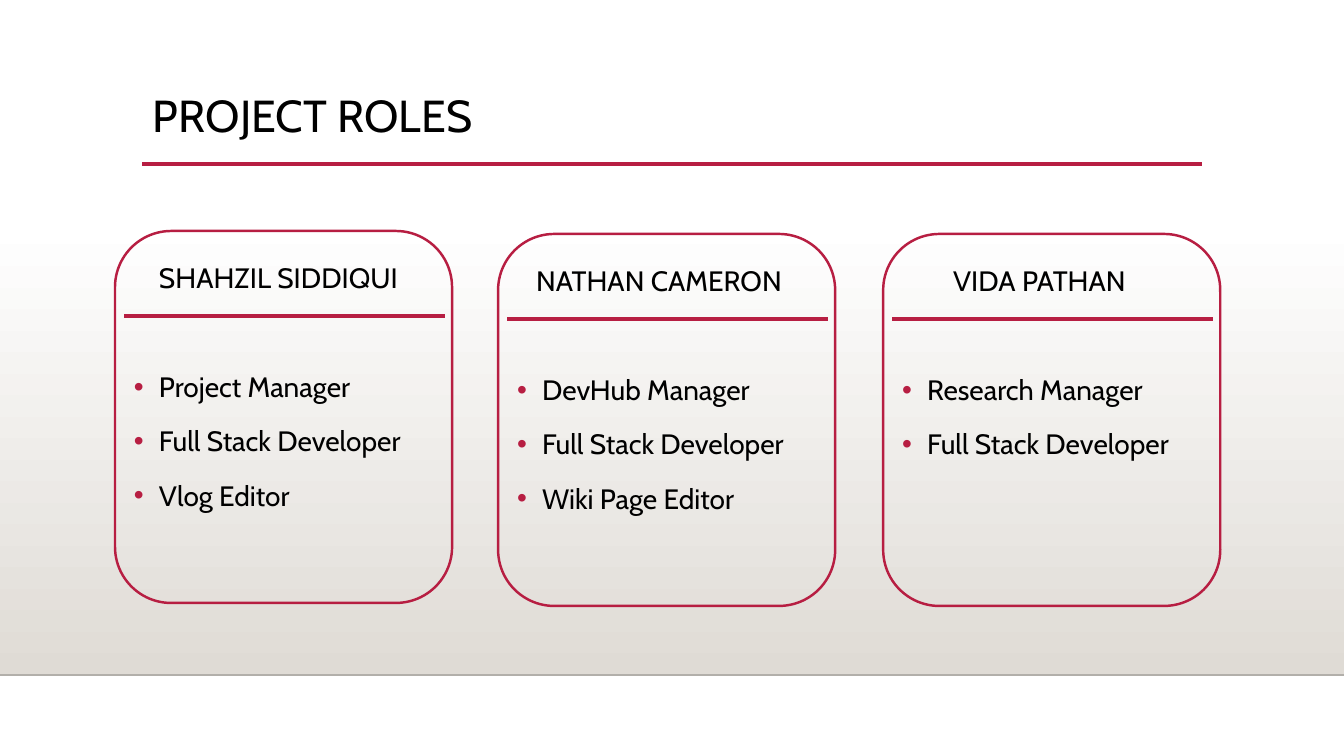
import pptx
import pptx.dml.color
import pptx.enum.shapes
import pptx.enum.text
import pptx.oxml
import pptx.oxml.ns
import pptx.util
from dataclasses import dataclass

EMU_PER_PIXEL = 914400 / 100.8


@dataclass(frozen=True)
class Theme:
    """Colours, font and type sizes of the slide."""
    accent: str = "B71E42"
    text: str = "000000"
    white: str = "FFFFFF"
    floor: str = "DFDBD5"
    floor_edge: str = "B2AFAA"
    font: str = "Cabin"
    title_size: int = 32
    body_size: int = 20


THEME = Theme()
CARD_WIDTH, CARD_HEIGHT = 337, 372
CARD_PADDING = 9
BULLET_INDENT = 25
# left, top, heading indent, name, roles
CARDS = [
    (115, 231, 25, "SHAHZIL SIDDIQUI",
     ["Project Manager", "Full Stack Developer", "Vlog Editor"]),
    (498, 234, 19, "NATHAN CAMERON",
     ["DevHub Manager", "Full Stack Developer", "Wiki Page Editor"]),
    (883, 234, 51, "VIDA PATHAN",
     ["Research Manager", "Full Stack Developer"]),
]


def px(pixels):
    """Turn pixels into EMU."""
    return pptx.util.Emu(round(pixels * EMU_PER_PIXEL))


def rgb(value):
    """Turn a hex string into a colour."""
    return pptx.dml.color.RGBColor.from_string(value)


def apply_format(target, values):
    """Set each attribute of the target from a dict."""
    for name, value in values.items():
        setattr(target, name, value)


def add_rule(slide, left, right, y, color=THEME.accent, weight=2.5):
    """Draw a horizontal line without shadow."""
    rule = slide.shapes.add_connector(
        pptx.enum.shapes.MSO_CONNECTOR.STRAIGHT,
        px(left), px(y), px(right), px(y))
    rule.line.color.rgb = rgb(color)
    rule.line.width = pptx.util.Pt(weight)
    effects = pptx.oxml.ns.qn("a:effectLst")
    rule._element.spPr.append(rule._element.makeelement(effects, {}))


def add_floor(slide):
    """Draw the gradient band and the thin edge below it."""
    floor = slide.shapes.add_shape(
        pptx.enum.shapes.MSO_SHAPE.RECTANGLE,
        px(0), px(223), px(1344), px(452))
    floor.shadow.inherit = False
    floor.line.fill.background()
    floor.fill.gradient()
    floor.fill.gradient_angle = 270
    for stop, color, position in zip(
            floor.fill.gradient_stops, (THEME.white, THEME.floor), (0, 1)):
        apply_format(stop, {"position": position})
        stop.color.rgb = rgb(color)
    add_rule(slide, 0, 1344, 675, THEME.floor_edge, 1)


def add_text_frame(slide, left, top, width, height):
    """Add a wrapping, top-anchored text box and return its frame."""
    box = slide.shapes.add_textbox(px(left), px(top), px(width), px(height))
    apply_format(box.text_frame, {
        "word_wrap": True,
        "vertical_anchor": pptx.enum.text.MSO_ANCHOR.TOP,
    })
    return box.text_frame


def write_paragraph(paragraph, text, size, line_spacing, space_before=0):
    """Write one run of themed text into a paragraph."""
    apply_format(paragraph, {
        "line_spacing": line_spacing,
        "space_before": pptx.util.Pt(space_before),
    })
    run = paragraph.add_run()
    run.text = text
    apply_format(run.font, {"name": THEME.font, "size": pptx.util.Pt(size)})
    run.font.color.rgb = rgb(THEME.text)


def set_indent(paragraph, margin, first_line=0):
    """Set the left margin and first-line indent in pixels."""
    properties = paragraph._p.get_or_add_pPr()
    properties.set("marL", str(px(margin)))
    properties.set("indent", str(px(first_line)))
    return properties


def add_bullet(paragraph):
    """Give a paragraph a hanging, accent-coloured bullet."""
    properties = set_indent(paragraph, BULLET_INDENT, -BULLET_INDENT)
    namespace = pptx.oxml.ns.nsdecls("a")
    for xml in (
            f'<a:buClr {namespace}><a:srgbClr val="{THEME.accent}"/></a:buClr>',
            f'<a:buFont {namespace} typeface="Arial"/>',
            f'<a:buChar {namespace} char="\u2022"/>'):
        properties.append(pptx.oxml.parse_xml(xml))


def add_title(slide, text):
    """Add the slide title and the rule under it."""
    add_rule(slide, 142, 1202, 164)
    frame = add_text_frame(slide, 143, 89, 999, 79)
    write_paragraph(frame.paragraphs[0], text, THEME.title_size, 0.9)


def add_card(slide, left, top, heading_indent, name, roles):
    """Add a rounded card with a name, a rule and bulleted roles."""
    inner_left = left + CARD_PADDING
    inner_width = CARD_WIDTH - 2 * CARD_PADDING + 2
    frame = add_text_frame(slide, inner_left, top + 18, inner_width, 340)
    heading = frame.paragraphs[0]
    write_paragraph(heading, name, THEME.body_size, 1.2, 10)
    set_indent(heading, heading_indent)
    for index, role in enumerate(roles):
        paragraph = frame.add_paragraph()
        space_before = 10 if index else 49
        write_paragraph(paragraph, role, THEME.body_size, 1.2, space_before)
        add_bullet(paragraph)

    outline = slide.shapes.add_shape(
        pptx.enum.shapes.MSO_SHAPE.ROUNDED_RECTANGLE,
        px(left), px(top), px(CARD_WIDTH), px(CARD_HEIGHT))
    outline.shadow.inherit = False
    outline.fill.background()
    outline.line.color.rgb = rgb(THEME.accent)
    outline.line.width = pptx.util.Pt(1.75)
    add_rule(slide, inner_left, inner_left + inner_width, top + 85)


def main():
    """Build and save the slide."""
    presentation = pptx.Presentation()
    apply_format(presentation, {
        "slide_width": pptx.util.Inches(13.33),
        "slide_height": pptx.util.Inches(7.5),
    })
    slide = presentation.slides.add_slide(presentation.slide_layouts[6])
    add_floor(slide)
    add_title(slide, "PROJECT ROLES")
    for card in CARDS:
        add_card(slide, *card)
    presentation.save("out.pptx")


main()
